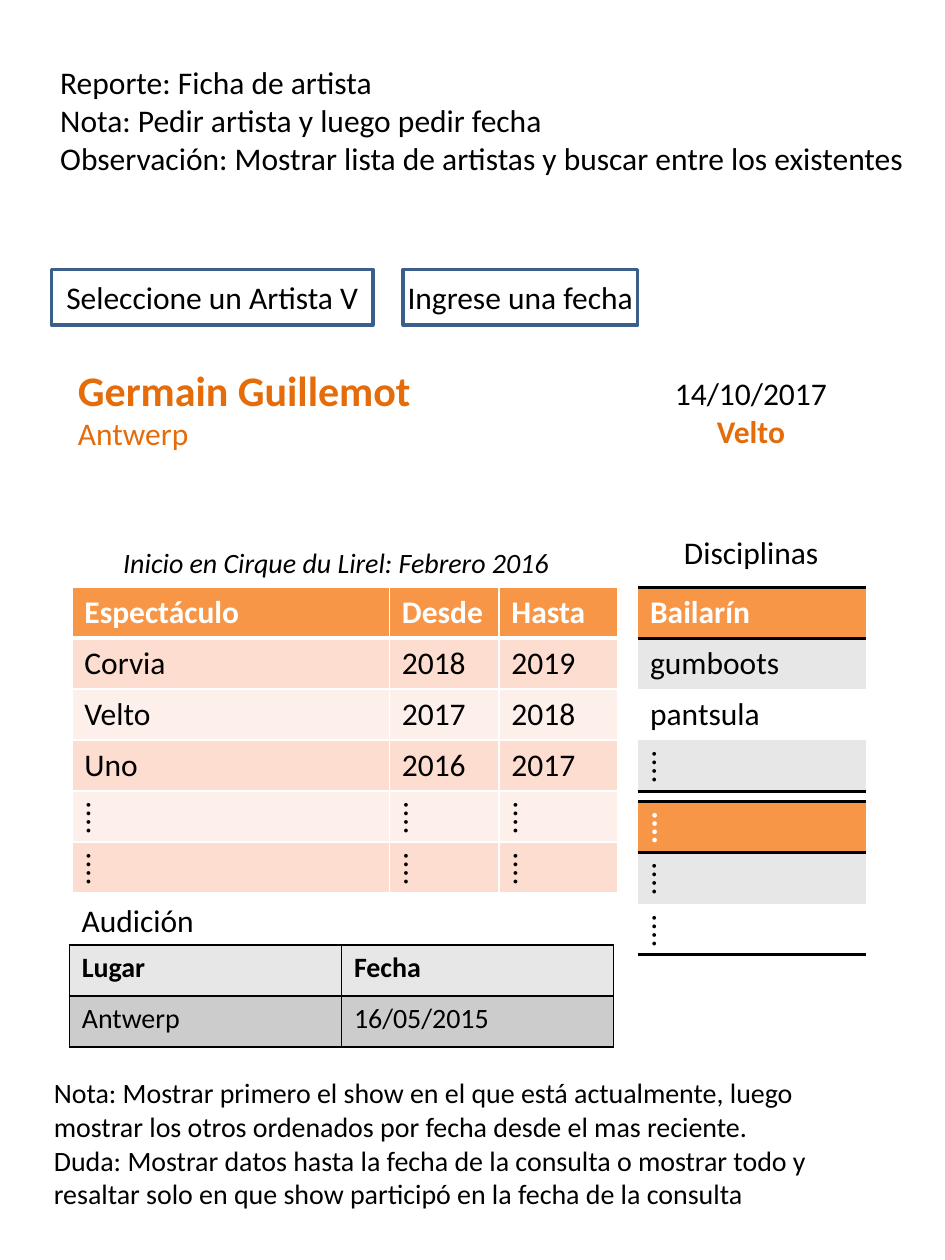
from lxml.etree import SubElement
from pptx import Presentation
from pptx.dml.color import RGBColor
from pptx.enum.shapes import MSO_SHAPE
from pptx.enum.text import MSO_ANCHOR, PP_ALIGN
from pptx.oxml.ns import qn
from pptx.util import Inches, Pt

FONT = "Calibri"
BLACK, WHITE, ORANGE, ACCENT = "000000", "FFFFFF", "F79646", "E46C0A"
GRAY, DARK, PEACH, CREAM = "E7E7E7", "CCCCCC", "FCDDCF", "FDEFE9"
PLAIN = "{2D5ABB26-0587-4C30-8999-92F81FD0307C}"
DOTS = "\u205e"


def paint(target, color):
    target.rgb = RGBColor.from_string(color)


def style(line, size=18, color=BLACK, bold=False, italic=False):
    for run in line.runs:
        font = run.font
        font.name, font.size = FONT, Pt(size)
        font.bold, font.italic = bold, italic
        paint(font.color, color)


def add_text(slide, left, top, width, height, lines, wrap=False, center=False):
    box = slide.shapes.add_textbox(*map(Inches, (left, top, width, height)))
    frame = box.text_frame
    frame.word_wrap = wrap
    frame.text = "\n".join(text for text, look in lines)
    for line, (text, look) in zip(frame.paragraphs, lines):
        line.alignment = PP_ALIGN.CENTER if center else PP_ALIGN.LEFT
        style(line, **look)


def add_field(slide, left, width, text):
    field = slide.shapes.add_shape(
        MSO_SHAPE.RECTANGLE, *map(Inches, (left, 2.14, width, 0.44)))
    field.shadow.inherit = False
    field.fill.background()
    paint(field.line.color, "3A5F8C")
    field.line.width = Pt(2)
    frame = field.text_frame
    frame.word_wrap = False
    frame.vertical_anchor = MSO_ANCHOR.MIDDLE
    frame.text = text
    frame.paragraphs[0].alignment = PP_ALIGN.CENTER
    style(frame.paragraphs[0])


def add_edge(cell, side, color, width):
    edge = SubElement(cell._tc.get_or_add_tcPr(), qn("a:ln" + side),
                      w=str(Pt(width)))
    if color is None:
        SubElement(edge, qn("a:noFill"))
    else:
        fill = SubElement(edge, qn("a:solidFill"))
        SubElement(fill, qn("a:srgbClr"), val=color)


def grid_edges(row, last):
    return {side: (BLACK, 1) for side in "LRTB"}


def ruled_edges(row, last):
    edges = {side: (None, 0) for side in "LRTB"}
    if row < 2:
        edges["T"] = (BLACK, 2)
    if row in (0, last):
        edges["B"] = (BLACK, 2)
    return edges


def white_edges(row, last):
    edges = {side: (WHITE, 1) for side in "LRTB"}
    if row < 2:
        edges["BT"[row]] = (WHITE, 3)
    return edges


def add_grid(slide, left, top, height, widths, rows, fills, edges,
             size=18, head=WHITE):
    shape = slide.shapes.add_table(
        len(rows), len(widths),
        *map(Inches, (left, top, sum(widths), height)))
    table = shape.table
    table._tbl.tblPr.find(qn("a:tableStyleId")).text = PLAIN
    for column, width in zip(table.columns, widths):
        column.width = Inches(width)
    for row, (texts, fill) in enumerate(zip(rows, fills)):
        for col, text in enumerate(texts):
            cell = table.cell(row, col)
            for side, pen in edges(row, len(rows) - 1).items():
                add_edge(cell, side, *pen)
            cell.fill.solid()
            paint(cell.fill.fore_color, fill)
            cell.text_frame.text = text
            style(cell.text_frame.paragraphs[0], size,
                  head if row == 0 else BLACK, row == 0)


def main():
    deck = Presentation()
    deck.slide_width, deck.slide_height = Inches(7.5), Inches(10)
    slide = deck.slides.add_slide(deck.slide_layouts[6])

    add_text(slide, 0.38, 0.45, 6.97, 1.01, [
        ("Reporte: Ficha de artista", {}),
        ("Nota: Pedir artista y luego pedir fecha", {}),
        ("Observación: Mostrar lista de artistas y buscar entre los "
         "existentes", {})])
    add_field(slide, 0.41, 2.55, "Seleccione un Artista V")
    add_field(slide, 3.2, 1.86, "Ingrese una fecha")

    add_text(slide, 0.52, 2.84, 3.17, 0.81, [
        ("Germain Guillemot", dict(size=24, color=ACCENT, bold=True)),
        ("Antwerp", dict(color=ACCENT))], wrap=True)
    add_text(slide, 5.25, 2.92, 1.42, 0.71, [
        ("14/10/2017", {}),
        ("Velto", dict(color=ACCENT, bold=True))], center=True)

    add_text(slide, 0.88, 4.28, 4, 0.37, [
        ("Inicio en Cirque du Lirel: Febrero 2016",
         dict(size=16, italic=True))])
    add_grid(slide, 0.57, 4.66, 2.43, [2.52, 0.87, 0.94], [
        ("Espectáculo", "Desde", "Hasta"),
        ("Corvia", "2018", "2019"),
        ("Velto", "2017", "2018"),
        ("Uno", "2016", "2017"),
        (DOTS,) * 3,
        (DOTS,) * 3], [ORANGE, PEACH, CREAM, PEACH, CREAM, PEACH],
        white_edges)

    add_text(slide, 5.33, 4.18, 1.28, 0.4, [("Disciplinas", {})])
    bands = [ORANGE, GRAY, WHITE, GRAY]
    add_grid(slide, 5.06, 4.66, 1.62, [1.81],
             [("Bailarín",), ("gumboots",), ("pantsula",), (DOTS,)],
             bands, ruled_edges)
    add_grid(slide, 5.06, 6.36, 1.22, [1.81], [(DOTS,)] * 3,
             bands, ruled_edges)

    add_text(slide, 0.55, 7.1, 1.1, 0.4, [("Audición", {})])
    add_grid(slide, 0.55, 7.5, 0.81, [2.16, 2.16],
             [("Lugar", "Fecha"), ("Antwerp", "16/05/2015")],
             [GRAY, DARK], grid_edges, size=16, head=BLACK)

    add_text(slide, 0.33, 8.49, 6.56, 1.18, [
        ("Nota: Mostrar primero el show en el que está actualmente, luego "
         "mostrar los otros ordenados por fecha desde el mas reciente.",
         dict(size=16)),
        ("Duda: Mostrar datos hasta la fecha de la consulta o mostrar todo "
         "y resaltar solo en que show participó en la fecha de la consulta",
         dict(size=16))], wrap=True)
    deck.save("out.pptx")


main()
